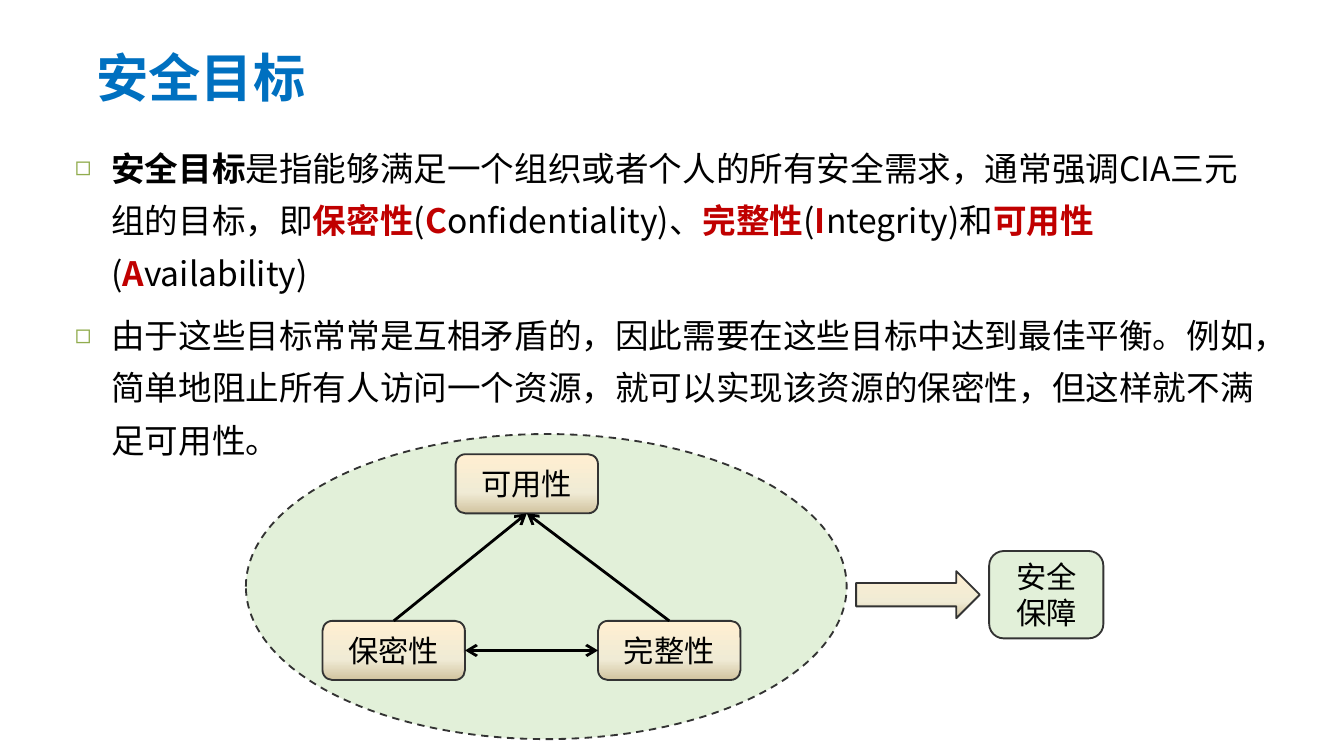
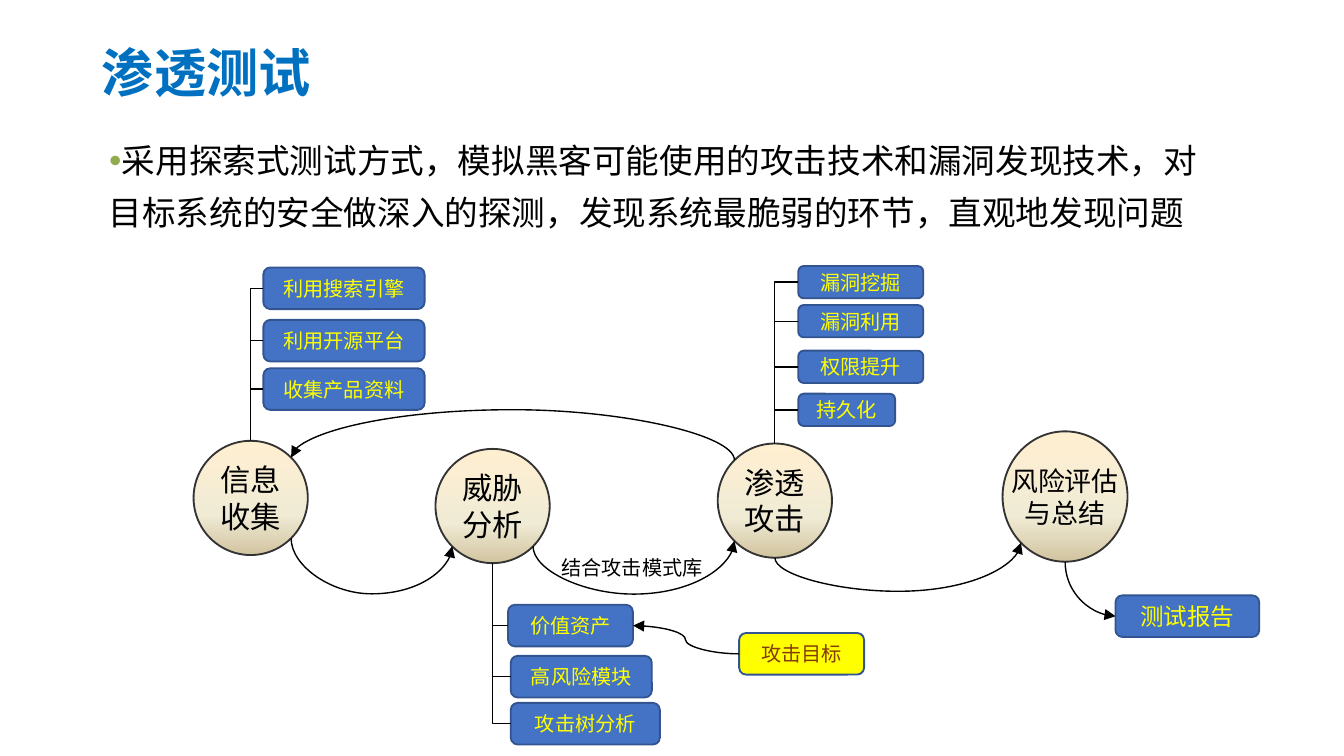
import dataclasses
import math

import lxml.etree
import pptx
import pptx.dml.color
import pptx.enum.dml
import pptx.enum.shapes
import pptx.enum.text
import pptx.oxml.ns
import pptx.util

SHAPE = pptx.enum.shapes.MSO_SHAPE
LINK = pptx.enum.shapes.MSO_CONNECTOR
ALIGN = pptx.enum.text.PP_ALIGN
ANCHOR = pptx.enum.text.MSO_ANCHOR
qn = pptx.oxml.ns.qn


@dataclasses.dataclass(frozen=True)
class Theme:
    cjk: str = "Noto Sans CJK SC"
    latin: str = "Calibri"
    title: str = "0070C0"
    ink: str = "000000"
    key: str = "C00000"
    bullet: str = "91AC4E"
    outline: str = "333333"
    green: str = "E2F0D9"
    blue: str = "4472C4"
    navy: str = "325491"
    yellow: str = "FFFF00"
    brown: str = "843C0B"
    sand: tuple = ((0, "FFEFD1"), (65, "F0EBD5"), (100, "D1C39F"))
    title_size: float = 28
    body_size: float = 18
    node_size: float = 16.2
    small_node_size: float = 14.4
    report_size: float = 12.6
    tag_size: float = 10.8


def rgb(value):
    return pptx.dml.color.RGBColor.from_string(value)


def add_xml(parent, tag, **attributes):
    return lxml.etree.SubElement(parent, qn(tag), **attributes)


class Sketch:
    columns = 100
    rows = 56.25

    def __init__(self, deck, theme):
        self.deck = deck
        self.theme = theme
        self.page = None

    def across(self, count):
        return round(self.deck.slide_width * count / self.columns)

    def down(self, count):
        return round(self.deck.slide_height * count / self.rows)

    def place(self, left, top, width, height):
        return self.across(left), self.down(top), self.across(width), self.down(height)

    def span(self, para, text, size, color, font=None, bold=False):
        span = para.add_run()
        span.text = text
        span.font.name = font or self.theme.cjk
        span.font.size = pptx.util.Pt(size)
        span.font.bold = bold
        span.font.color.rgb = rgb(color)
        add_xml(span.font._element, "a:ea", typeface=self.theme.cjk)

    def text_box(self, place, wrap=True):
        box = self.page.shapes.add_textbox(*self.place(*place))
        box.text_frame.word_wrap = wrap
        return box.text_frame

    def start_page(self, title, left, top):
        self.page = self.deck.slides.add_slide(self.deck.slide_layouts[6])
        frame = self.text_box((left, top, 60, 4.6))
        frame.vertical_anchor = ANCHOR.MIDDLE
        para = frame.paragraphs[0]
        para.line_spacing = 0.9
        self.span(para, title, self.theme.title_size, self.theme.title, bold=True)

    def bullets(self, place, items, mark, indent):
        frame = self.text_box(place)
        colors = {"plain": self.theme.ink, "strong": self.theme.ink, "key": self.theme.key}
        hang = self.across(indent)
        for index, spans in enumerate(items):
            para = frame.add_paragraph() if index else frame.paragraphs[0]
            para.line_spacing = 1.3
            if index:
                para.space_before = pptx.util.Pt(0.3 * self.theme.body_size)
            props = para._p.get_or_add_pPr()
            props.set("marL", str(hang))
            props.set("indent", str(-hang))
            add_xml(add_xml(props, "a:buClr"), "a:srgbClr", val=self.theme.bullet)
            add_xml(props, "a:buSzPct", val="80000")
            add_xml(props, "a:buFont", typeface=self.theme.latin)
            add_xml(props, "a:buChar", char=mark)
            for text, role in spans:
                self.span(para, text, self.theme.body_size, colors[role], bold=role != "plain")

    def label(self, place, text):
        para = self.text_box(place, wrap=False).paragraphs[0]
        self.span(para, text, self.theme.tag_size, self.theme.ink, self.theme.latin)

    def shape(self, kind, place, fill, line=None, lines=(), size=None, color=None,
              font=None, wrap=False, dashed=False):
        shape = self.page.shapes.add_shape(kind, *self.place(*place))
        shape.shadow.inherit = False
        if isinstance(fill, tuple):
            shape.fill.gradient()
            shape.fill.gradient_angle = 270
            stops = shape.element.spPr.find(".//" + qn("a:gsLst"))
            stops.clear()
            for percent, tone in fill:
                stop = add_xml(stops, "a:gs", pos=str(percent * 1000))
                add_xml(stop, "a:srgbClr", val=tone)
        else:
            shape.fill.solid()
            shape.fill.fore_color.rgb = rgb(fill)
        shape.line.color.rgb = rgb(line or self.theme.outline)
        shape.line.width = pptx.util.Pt(1)
        if dashed:
            shape.line.dash_style = pptx.enum.dml.MSO_LINE.DASH
        frame = shape.text_frame
        frame.word_wrap = wrap
        frame.vertical_anchor = ANCHOR.MIDDLE
        for index, text in enumerate(lines):
            para = frame.add_paragraph() if index else frame.paragraphs[0]
            para.alignment = ALIGN.CENTER
            self.span(para, text, size or self.theme.node_size, color or self.theme.ink, font)
        return shape

    def block(self, place, lines, fill=None):
        return self.shape(SHAPE.ROUNDED_RECTANGLE, place, fill or self.theme.sand,
                          lines=lines, font=self.theme.latin)

    def circle(self, place, lines, size=None):
        return self.shape(SHAPE.OVAL, place, self.theme.sand, lines=lines, size=size)

    def tag(self, place, text, size=None, fill=None, color=None):
        return self.shape(SHAPE.ROUNDED_RECTANGLE, place, fill or self.theme.blue,
                          self.theme.navy, (text,), size or self.theme.tag_size,
                          color or self.theme.yellow, wrap=True)

    def site(self, shape, name):
        names = ["top", "top left", "left", "bottom left",
                 "bottom", "bottom right", "right", "top right"]
        turn = names.index(name)
        angle = math.radians(45 * turn)
        x = shape.left + shape.width * (1 - math.sin(angle)) / 2
        y = shape.top + shape.height * (1 - math.cos(angle)) / 2
        is_oval = shape.auto_shape_type == SHAPE.OVAL
        return round(x), round(y), turn if is_oval else turn // 2

    def connect(self, start, start_site, end, end_site, kind=LINK.STRAIGHT,
                weight=0.75, head=None, tail=None, vertical=False, bend=None):
        x1, y1, first = self.site(start, start_site)
        x2, y2, last = self.site(end, end_site)
        link = self.page.shapes.add_connector(kind, x1, y1, x2, y2)
        link.line.color.rgb = rgb(self.theme.ink)
        link.line.width = pptx.util.Pt(weight)
        outline = link.line._get_or_add_ln()
        for tag, arrow in (("a:headEnd", head), ("a:tailEnd", tail)):
            if arrow:
                add_xml(outline, tag, type=arrow)
        add_xml(link.element.spPr, "a:effectLst")
        ends = link.element.find(".//" + qn("p:cNvCxnSpPr"))
        add_xml(ends, "a:stCxn", id=str(start.shape_id), idx=str(first))
        add_xml(ends, "a:endCxn", id=str(end.shape_id), idx=str(last))
        if kind != LINK.STRAIGHT:
            self.route(link, (x1, y1), (x2, y2), vertical, bend)

    def route(self, link, start, end, vertical, bend):
        dx, dy = end[0] - start[0], end[1] - start[1]
        width, height = abs(dx), abs(dy)
        if vertical:
            width, height = height, width
            flip_h, flip_v, turn = dy < 0, dx > 0, 90
            if flip_h != flip_v:
                flip_h, flip_v, turn = flip_v, flip_h, 270
        else:
            flip_h, flip_v = False, (dx < 0) != (dy < 0)
            turn = 180 if dx < 0 else 0
        link.left = round((start[0] + end[0] - width) / 2)
        link.top = round((start[1] + end[1] - height) / 2)
        link.width, link.height = width, height
        frame = link.element.spPr.find(qn("a:xfrm"))
        frame.set("rot", str(turn * 60000))
        frame.set("flipH", str(int(flip_h)))
        frame.set("flipV", str(int(flip_v)))
        outline = link.element.spPr.find(qn("a:prstGeom"))
        if bend is None:
            outline.set("prst", outline.get("prst").replace("3", "2"))
            return
        share = (self.down(bend) - start[1]) / dy if vertical else (self.across(bend) - start[0]) / dx
        guides = outline.find(qn("a:avLst"))
        add_xml(guides, "a:gd", name="adj1", fmla=f"val {round(share * 100000)}")

    def flow(self, start, start_site, end, end_site, vertical=True, bend=None):
        self.connect(start, start_site, end, end_site, LINK.CURVE,
                     tail="triangle", vertical=vertical, bend=bend)


def security_goals(sketch):
    theme = sketch.theme
    sketch.start_page("安全目标", 6.2, 3.7)
    sketch.bullets((4.6, 9.6, 90, 25.2), [
        [("安全目标", "strong"),
         ("是指能够满足一个组织或者个人的所有安全需求，通常强调CIA三元组的目标，即", "plain"),
         ("保密性", "key"), ("(", "plain"), ("C", "key"), ("onfidentiality)、", "plain"),
         ("完整性", "key"), ("(", "plain"), ("I", "key"), ("ntegrity)和", "plain"),
         ("可用性", "key"), ("(", "plain"), ("A", "key"), ("vailability)", "plain")],
        [("由于这些目标常常是互相矛盾的，因此需要在这些目标中达到最佳平衡。例如，"
          "简单地阻止所有人访问一个资源，就可以实现该资源的保密性，但这样就不满足可用性。", "plain")],
    ], "◻", 2.7)
    sketch.shape(SHAPE.OVAL, (18.3, 32.3, 44.7, 22.7), theme.green, dashed=True)
    available, secret, intact = [
        sketch.block((left, top, 10.6, 4.4), (text,))
        for left, top, text in ((33.9, 33.8, "可用性"), (24, 46.2, "保密性"), (44.5, 46.2, "完整性"))]
    for goal in (secret, intact):
        sketch.connect(available, "bottom", goal, "top", weight=1.5, head="arrow")
    sketch.connect(intact, "left", secret, "right", weight=1.5, head="arrow", tail="arrow")
    sketch.shape(SHAPE.RIGHT_ARROW, (63.7, 42.5, 9.2, 3.5), theme.sand)
    sketch.block((73.6, 41, 8.5, 6.5), ("安全", "保障"), theme.green)


def penetration_test(sketch):
    theme = sketch.theme
    sketch.start_page("渗透测试", 6.6, 3.3)
    sketch.bullets((7.1, 9, 83.9, 8.7), [
        [("采用探索式测试方式，模拟黑客可能使用的攻击技术和漏洞发现技术，"
          "对目标系统的安全做深入的探测，发现系统最脆弱的环节，直观地发现问题", "plain")],
    ], "•", 0)
    gather, threat, attack = [
        sketch.circle((left, top, 8.5, 8.5), lines)
        for left, top, lines in ((14.4, 32.8, ("信息", "收集")),
                                 (32.4, 33.4, ("威胁", "分析")),
                                 (53.4, 33, ("渗透", "攻击")))]
    review = sketch.circle((74.6, 32.1, 9.3, 9.7), ("风险评估", "与总结"), theme.small_node_size)

    sources = [sketch.tag((19.6, top, 12, 3.1), text) for top, text in (
        (19.9, "利用搜索引擎"), (23.8, "利用开源平台"), (27.4, "收集产品资料"))]
    exploits = [sketch.tag((59.4, top, width, 2.4), text) for top, width, text in (
        (19.8, 9.3, "漏洞挖掘"), (22.7, 9.3, "漏洞利用"),
        (26.1, 9.3, "权限提升"), (29.3, 7.2, "持久化"))]
    findings = [sketch.tag((left, top, width, 3.1), text) for left, top, width, text in (
        (37.8, 45, 9.3, "价值资产"), (38, 48.8, 10.5, "高风险模块"), (38, 52.3, 11.1, "攻击树分析"))]
    target = sketch.tag((55, 47.1, 9.3, 3.1), "攻击目标", fill=theme.yellow, color=theme.brown)
    report = sketch.tag((83, 44.3, 10.7, 3.1), "测试报告", theme.report_size)

    for circle, tags in ((gather, sources), (attack, exploits)):
        for tag in tags:
            sketch.connect(tag, "left", circle, "top", LINK.ELBOW)
    for tag in findings:
        sketch.connect(threat, "bottom", tag, "left", LINK.ELBOW, vertical=True)

    sketch.flow(attack, "top left", gather, "top right", bend=30.5)
    sketch.flow(gather, "bottom right", threat, "bottom left", bend=44.2)
    sketch.flow(threat, "bottom right", attack, "bottom left", bend=44.2)
    sketch.flow(attack, "bottom", review, "bottom left", bend=44)
    sketch.flow(target, "left", findings[0], "right", vertical=False, bend=51)
    sketch.flow(review, "bottom", report, "left")
    sketch.label((40.8, 40.8, 12.6, 2.8), "结合攻击模式库")


def main():
    deck = pptx.Presentation()
    deck.slide_width = pptx.util.Inches(10)
    deck.slide_height = deck.slide_width * 9 // 16
    sketch = Sketch(deck, Theme())
    security_goals(sketch)
    penetration_test(sketch)
    deck.save("out.pptx")


if __name__ == "__main__":
    main()
